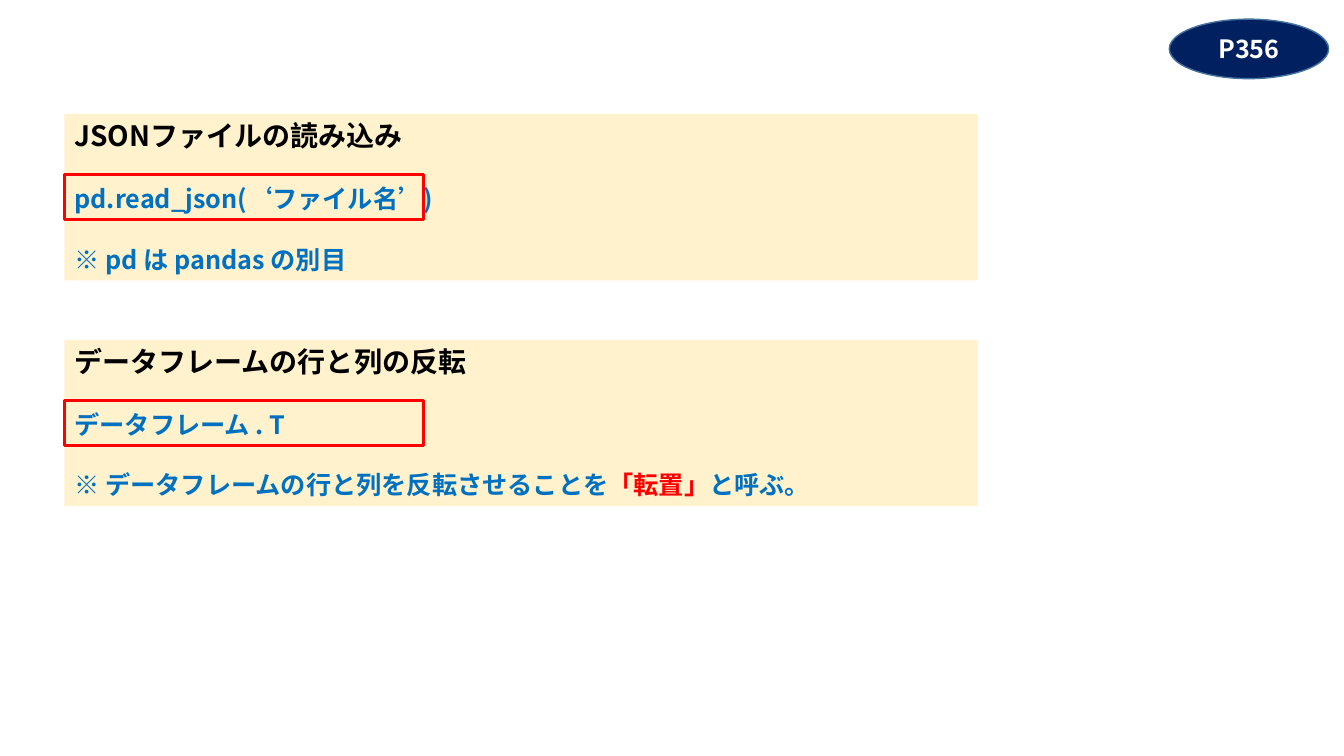
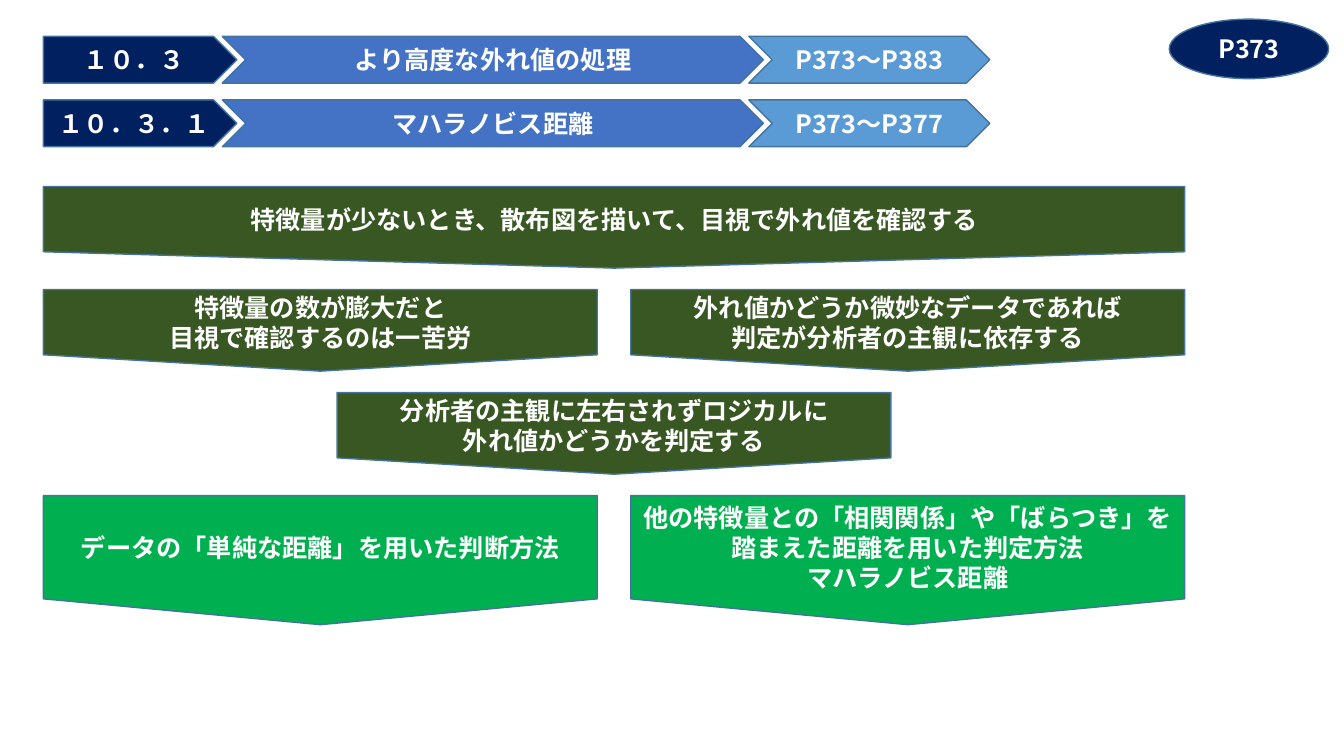
from pptx import Presentation
from pptx.dml.color import RGBColor
from pptx.enum.shapes import MSO_SHAPE as Preset
from pptx.enum.text import MSO_ANCHOR as Anchor, PP_ALIGN as Align
from pptx.oxml.ns import qn
from pptx.util import Pt
from lxml.etree import SubElement

FONT = "Noto Sans CJK JP"
BLACK, WHITE, RED, BLUE = "000000", "FFFFFF", "FF0000", "0070C0"
NAVY, ROYAL, SKY, EDGE = "002060", "4472C4", "5B9BD5", "43739E"
CREAM, FOREST, GREEN = "FFF2CC", "385723", "00B050"
LINE_PITCH = 21.8


def color(hex_code):
    return RGBColor.from_string(hex_code)


def add_box(page, preset, box, fill=None, line=None, weight=1):
    shape = page.shapes.add_shape(preset, *(Pt(length) for length in box))
    shape.shadow.inherit = False
    if fill:
        shape.fill.solid()
        shape.fill.fore_color.rgb = color(fill)
    else:
        shape.fill.background()
    if line:
        shape.line.color.rgb = color(line)
        shape.line.width = Pt(weight)
    else:
        shape.line.fill.background()
    return shape


def write_para(para, spans, size, ink, align):
    para.alignment = align
    para.font.name = FONT
    para.font.size = Pt(size)
    para.font.bold = True
    para.font.color.rgb = color(ink)
    defaults = para._p.pPr.find(qn("a:defRPr"))
    SubElement(defaults, qn("a:ea")).set("typeface", FONT)
    for text, accent in spans:
        span = para.add_run()
        span.text = text
        if accent:
            span.font.color.rgb = color(accent)


def add_label(page, preset, box, fill, text):
    frame = add_box(page, preset, box, fill, EDGE).text_frame
    for index, line in enumerate(text.split("\n")):
        para = frame.add_paragraph() if index else frame.paragraphs[0]
        write_para(para, [(line, None)], 18, WHITE, Align.CENTER)


def add_badge(page, text):
    add_label(page, Preset.OVAL, (835.2, 13.7, 113.8, 42.5), NAVY, text)


def add_syntax_panel(page, box, heading, code, note):
    left, top, width, height = box
    frame = add_box(page, Preset.RECTANGLE, box, CREAM).text_frame
    frame.vertical_anchor = Anchor.TOP
    write_para(frame.paragraphs[0], [(heading, None)], 20, BLACK, Align.LEFT)
    for spans in ([(code, None)], note):
        para = frame.add_paragraph()
        write_para(para, spans, 18, BLUE, Align.LEFT)
        para.space_before = Pt(LINE_PITCH)
    add_box(page, Preset.RECTANGLE, (left, top + 43.2, 256.3, 32.4),
            line=RED, weight=2.25)


def add_section_row(page, box, number, title, pages):
    left, top, width, height = box
    overlap = 10.4
    number_width, pages_width = 138.2, 172.1
    title_width = width - number_width - pages_width + 2 * overlap
    parts = [
        (Preset.PENTAGON, number_width, NAVY, number),
        (Preset.CHEVRON, title_width, ROYAL, title),
        (Preset.CHEVRON, pages_width, SKY, pages),
    ]
    for preset, part_width, fill, text in parts:
        add_label(page, preset, (left, top, part_width, height), fill, text)
        left += part_width - overlap


def add_flow(page, box, rows):
    left, top, width = box
    column_gap, row_gap = 24, 15.3
    half = (width - column_gap) / 2
    for height, fill, full_width, texts in rows:
        part_width = width if full_width else half
        used = len(texts) * (part_width + column_gap) - column_gap
        start = left + (width - used) / 2
        for index, text in enumerate(texts):
            part_left = start + index * (part_width + column_gap)
            add_label(page, Preset.FLOWCHART_OFFPAGE_CONNECTOR,
                      (part_left, top, part_width, height), fill, text)
        top += height + row_gap


def add_page(deck, badge):
    page = deck.slides.add_slide(deck.slide_layouts[6])
    add_badge(page, badge)
    return page


def build_syntax_page(deck):
    page = add_page(deck, "P356")
    panels = [
        ("JSONファイルの読み込み", "pd.read_json(‘ファイル名’)",
         [("※ pd は pandas の別目", None)]),
        ("データフレームの行と列の反転", "データフレーム . T",
         [("※ データフレームの行と列を反転させることを", None),
          ("「転置」", RED), ("と呼ぶ。", None)]),
    ]
    for index, panel in enumerate(panels):
        add_syntax_panel(page, (46.1, 81.4 + 161.3 * index, 652.3, 118.8), *panel)


def build_outlier_page(deck):
    page = add_page(deck, "P373")
    sections = [
        ("１０．３", "より高度な外れ値の処理", "P373～P383"),
        ("１０．３．１", "マハラノビス距離", "P373～P377"),
    ]
    for index, section in enumerate(sections):
        add_section_row(page, (31, 26 + 45.4 * index, 676, 33.4), *section)
    add_flow(page, (31, 133.2, 815.2), [
        (58.3, FOREST, True,
         ["特徴量が少ないとき、散布図を描いて、目視で外れ値を確認する"]),
        (58.3, FOREST, False,
         ["特徴量の数が膨大だと\n目視で確認するのは一苦労",
          "外れ値かどうか微妙なデータであれば\n判定が分析者の主観に依存する"]),
        (58.3, FOREST, False,
         ["分析者の主観に左右されずロジカルに\n外れ値かどうかを判定する"]),
        (92.2, GREEN, False,
         ["データの「単純な距離」を用いた判断方法",
          "他の特徴量との「相関関係」や「ばらつき」を踏まえた距離を用いた判定方法\n"
          "マハラノビス距離"]),
    ])


def main():
    deck = Presentation()
    deck.slide_width, deck.slide_height = Pt(960), Pt(540)
    build_syntax_page(deck)
    build_outlier_page(deck)
    deck.save("out.pptx")


if __name__ == "__main__":
    main()
